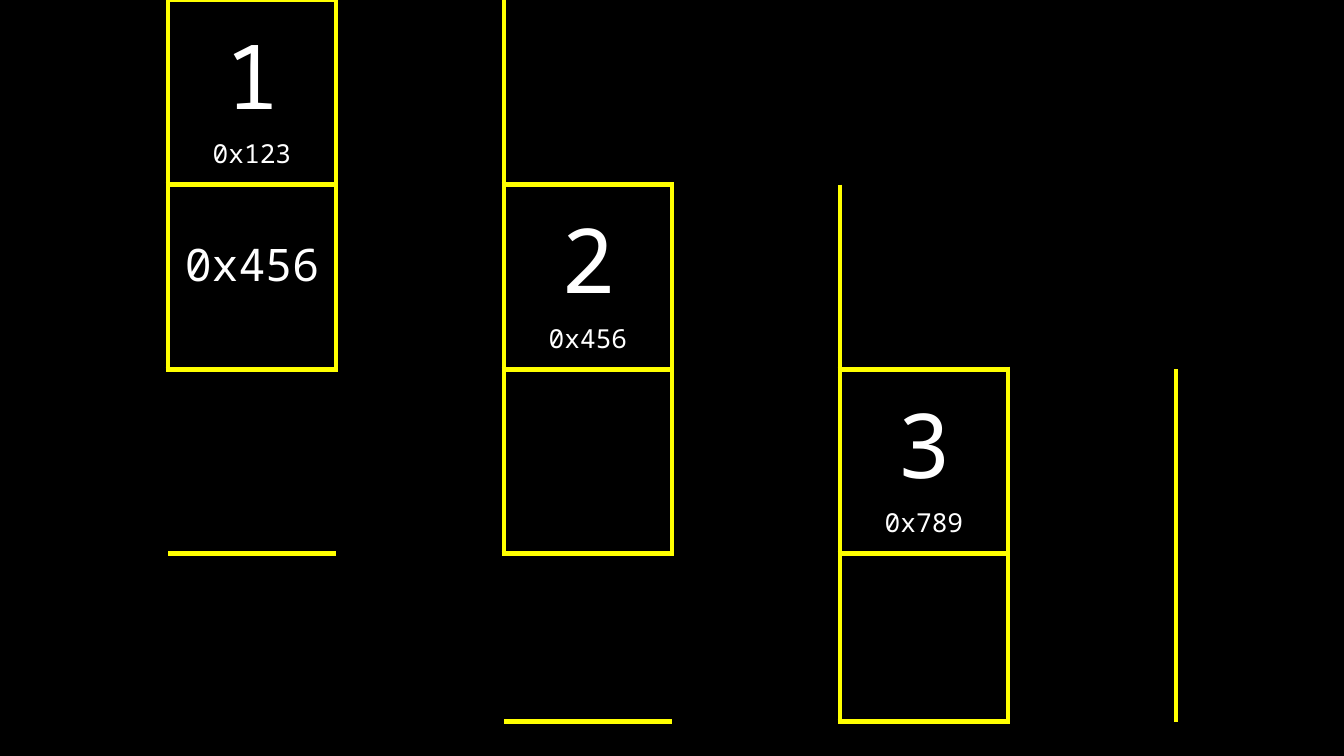
"""Build a slide of three linked-list nodes laid out on a memory grid."""
from dataclasses import dataclass

from lxml import etree
from pptx import Presentation
from pptx import util as u
from pptx.dml import color
from pptx.enum import text
from pptx.oxml import ns
from pptx.slide import Slide
from pptx.table import Table, _Cell

FONT = "Noto Sans Mono"
BLACK, WHITE, YELLOW = "000000", "FFFFFF", "FFFF00"
COLUMNS, ROWS, SIDE = 8, 5, 90
INSET, POINTER_INSET = 7.2, 40
NO_GRID_STYLE = "{2D5ABB26-0587-4C30-8999-92F81FD0307C}"
EDGES = {"L": (0, -1), "R": (0, 1), "T": (-1, 0), "B": (1, 0)}


@dataclass(frozen=True)
class Node:
    row: int
    column: int
    value: str
    address: str
    pointer: str = ""


NODES = (
    Node(0, 1, "1", "0x123", "0x456"),
    Node(1, 3, "2", "0x456"),
    Node(2, 5, "3", "0x789"),
)


def rgb(value: str) -> color.RGBColor:
    return color.RGBColor.from_string(value)


def write_lines(cell: _Cell, lines: list[tuple[str, float]]) -> None:
    for index, (words, size) in enumerate(lines):
        frame = cell.text_frame
        para = frame.add_paragraph() if index else frame.paragraphs[0]
        para.alignment = text.PP_ALIGN.CENTER
        span = para.add_run()
        span.text = words
        span.font.name = FONT
        span.font.size = u.Pt(size)
        span.font.color.rgb = rgb(WHITE)


def draw_border(cell: _Cell, edge: str) -> None:
    properties = cell._tc.get_or_add_tcPr()
    line = etree.SubElement(properties, ns.qn(f"a:ln{edge}"), w=str(u.Pt(3)))
    fill = etree.SubElement(line, ns.qn("a:solidFill"))
    etree.SubElement(fill, ns.qn("a:srgbClr"), val=YELLOW)


def add_grid(page: Slide) -> Table:
    frame = page.shapes.add_table(
        ROWS, COLUMNS, u.Pt(0), u.Pt(0), u.Pt(COLUMNS * SIDE), u.Pt(ROWS * SIDE)
    )
    grid = frame.table
    grid.first_row = grid.horz_banding = False
    grid._tbl.tblPr.find(ns.qn("a:tableStyleId")).text = NO_GRID_STYLE
    return grid


def outline_cells(grid: Table, boxed: set[tuple[int, int]]) -> None:
    for row in range(ROWS):
        for column in range(COLUMNS):
            cell = grid.cell(row, column)
            cell.margin_left = cell.margin_right = u.Pt(INSET)
            cell.margin_top = cell.margin_bottom = u.Pt(INSET)
            for edge, (down, across) in EDGES.items():
                if boxed & {(row, column), (row + down, column + across)}:
                    draw_border(cell, edge)
            cell.fill.background()


def fill_node(grid: Table, node: Node) -> None:
    cell = grid.cell(node.row, node.column)
    cell.vertical_anchor = text.MSO_ANCHOR.MIDDLE
    write_lines(cell, [(node.value, 48), (node.address, 14)])
    if node.pointer:
        cell = grid.cell(node.row + 1, node.column)
        cell.vertical_anchor = text.MSO_ANCHOR.BOTTOM
        cell.margin_bottom = u.Pt(POINTER_INSET)
        write_lines(cell, [(node.pointer, 24)])


def main() -> None:
    deck = Presentation()
    deck.slide_width, deck.slide_height = u.Pt(720), u.Pt(405)
    page = deck.slides.add_slide(deck.slide_layouts[6])
    page.background.fill.solid()
    page.background.fill.fore_color.rgb = rgb(BLACK)
    grid = add_grid(page)
    outline_cells(
        grid, {(node.row + step, node.column) for node in NODES for step in (0, 1)}
    )
    for node in NODES:
        fill_node(grid, node)
    deck.save("out.pptx")


if __name__ == "__main__":
    main()
